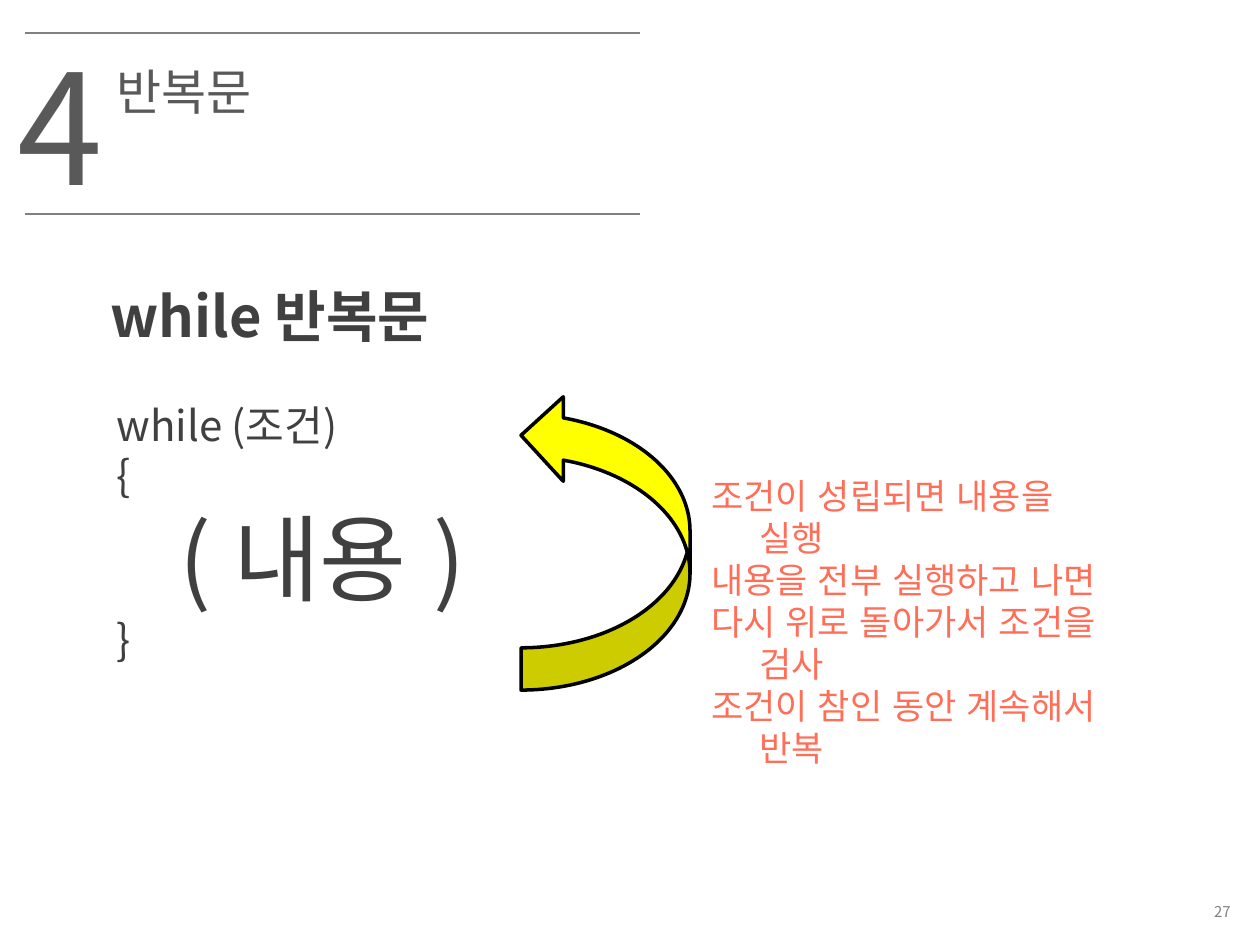
from dataclasses import dataclass

from lxml import etree
from pptx import Presentation
from pptx.dml.color import RGBColor
from pptx.enum.lang import MSO_LANGUAGE_ID
from pptx.enum.shapes import MSO_CONNECTOR, MSO_SHAPE
from pptx.enum.text import MSO_ANCHOR, MSO_AUTO_SIZE, PP_ALIGN
from pptx.oxml.ns import qn
from pptx.util import Emu, Pt

STRAIGHT = MSO_CONNECTOR.STRAIGHT
CURVED_ARROW = MSO_SHAPE.CURVED_RIGHT_ARROW
LEFT, CENTER, RIGHT = PP_ALIGN.LEFT, PP_ALIGN.CENTER, PP_ALIGN.RIGHT
TOP, MIDDLE = MSO_ANCHOR.TOP, MSO_ANCHOR.MIDDLE
GROW = MSO_AUTO_SIZE.SHAPE_TO_FIT_TEXT
KOREAN = MSO_LANGUAGE_ID.KOREAN

EMU_PER_PX = 914400 / 126


@dataclass(frozen=True)
class Theme:
    font: str = "Noto Sans CJK KR"
    heading: str = "595959"
    body: str = "404040"
    muted: str = "808080"
    accent: str = "FF6E57"
    arrow: str = "FFFF00"
    outline: str = "000000"
    chapter_size: float = 88
    content_size: float = 54
    title_size: float = 32
    section_size: float = 28
    code_size: float = 24
    note_size: float = 20
    page_size: float = 8.5
    line_height: float = 1.2


THEME = Theme()

CHAPTER = "4"
SECTION = "반복문"
TITLE = "while 반복문"
PAGE = "27"
CODE = [
    ("while (조건)", THEME.code_size),
    ("{", THEME.code_size),
    ("   ( 내용 )", THEME.content_size),
    ("}", THEME.code_size),
]
NOTES = [
    "조건이 성립되면 내용을 실행",
    "내용을 전부 실행하고 나면",
    "다시 위로 돌아가서 조건을 검사",
    "조건이 참인 동안 계속해서 반복",
]
HEADER_RULES = (33, 214)
HANGING = 48


def px(length):
    return Emu(round(length * EMU_PER_PX))


def rgb(color):
    return RGBColor.from_string(color)


def add_text(slide, box, lines, color, bold=False, align=LEFT, anchor=TOP,
             hanging=0):
    """Add a text box with one unkerned paragraph per (text, size) pair."""
    frame = slide.shapes.add_textbox(*map(px, box)).text_frame
    frame.word_wrap = True
    frame.vertical_anchor = anchor
    if anchor == TOP:
        frame.auto_size = GROW
    for index, (text, size) in enumerate(lines):
        paragraph = frame.add_paragraph() if index else frame.paragraphs[0]
        paragraph.alignment = align
        paragraph.line_spacing = Pt(size * THEME.line_height)
        if hanging:
            properties = paragraph._p.get_or_add_pPr()
            properties.set("marL", str(px(hanging)))
            properties.set("indent", str(-px(hanging)))
        run = paragraph.add_run()
        run.text = text
        font = run.font
        font.size = Pt(size)
        font.bold = bold
        font.language_id = KOREAN
        font.color.rgb = rgb(color)
        font.name = THEME.font
        run_properties = run._r.get_or_add_rPr()
        run_properties.set("kern", "0")
        east_asian = etree.SubElement(run_properties, qn("a:ea"))
        east_asian.set("typeface", THEME.font)


def add_rule(slide, left, right, y):
    rule = slide.shapes.add_connector(STRAIGHT, px(left), px(y), px(right), px(y))
    rule.line.color.rgb = rgb(THEME.muted)
    rule.line.width = Pt(0.75)
    etree.SubElement(rule._element.spPr, qn("a:effectLst"))


def add_loop_arrow(slide, box):
    arrow = slide.shapes.add_shape(CURVED_ARROW, *map(px, box))
    arrow.rotation = 180
    arrow.shadow.inherit = False
    arrow.fill.solid()
    arrow.fill.fore_color.rgb = rgb(THEME.arrow)
    arrow.line.color.rgb = rgb(THEME.outline)
    arrow.line.width = Pt(2)


def main():
    deck = Presentation()
    deck.slide_width, deck.slide_height = px(1260), px(945)
    slide = deck.slides.add_slide(deck.slide_layouts[6])

    add_text(slide, (977, 895, 266, 34), [(PAGE, THEME.page_size)],
             THEME.muted, align=RIGHT, anchor=MIDDLE)
    add_text(slide, (104, 55, 566, 72), [(SECTION, THEME.section_size)],
             THEME.heading, hanging=HANGING)
    for y in HEADER_RULES:
        add_rule(slide, 25, 640, y)
    add_text(slide, (79, 275, 382, 81), [(TITLE, THEME.title_size)],
             THEME.body, bold=True, align=CENTER)
    add_text(slide, (104, 393, 525, 280), CODE, THEME.body)
    add_loop_arrow(slide, (521, 393, 169, 297))
    add_text(slide, (699, 468, 436, 183),
             [(note, THEME.note_size) for note in NOTES],
             THEME.accent, hanging=HANGING)
    add_text(slide, (5, 25, 149, 199), [(CHAPTER, THEME.chapter_size)],
             THEME.heading, hanging=HANGING)

    deck.save("out.pptx")


if __name__ == "__main__":
    main()
